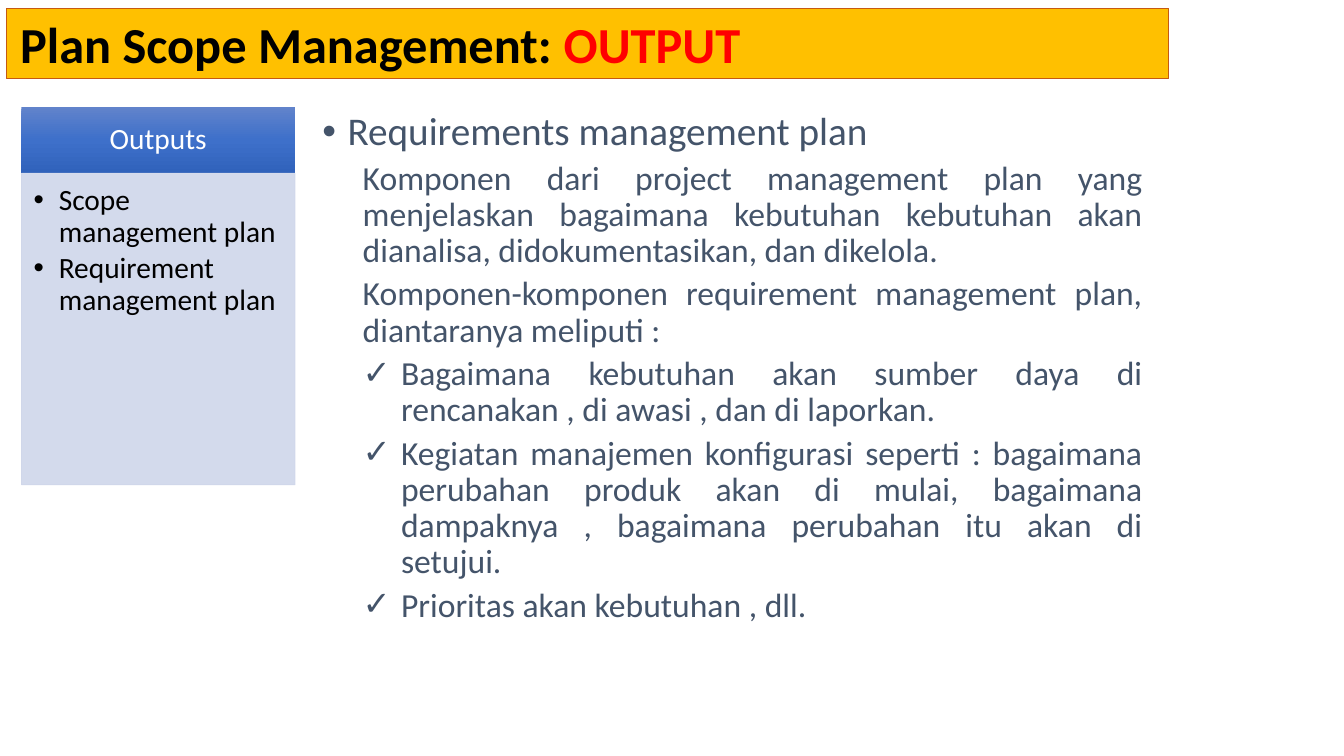
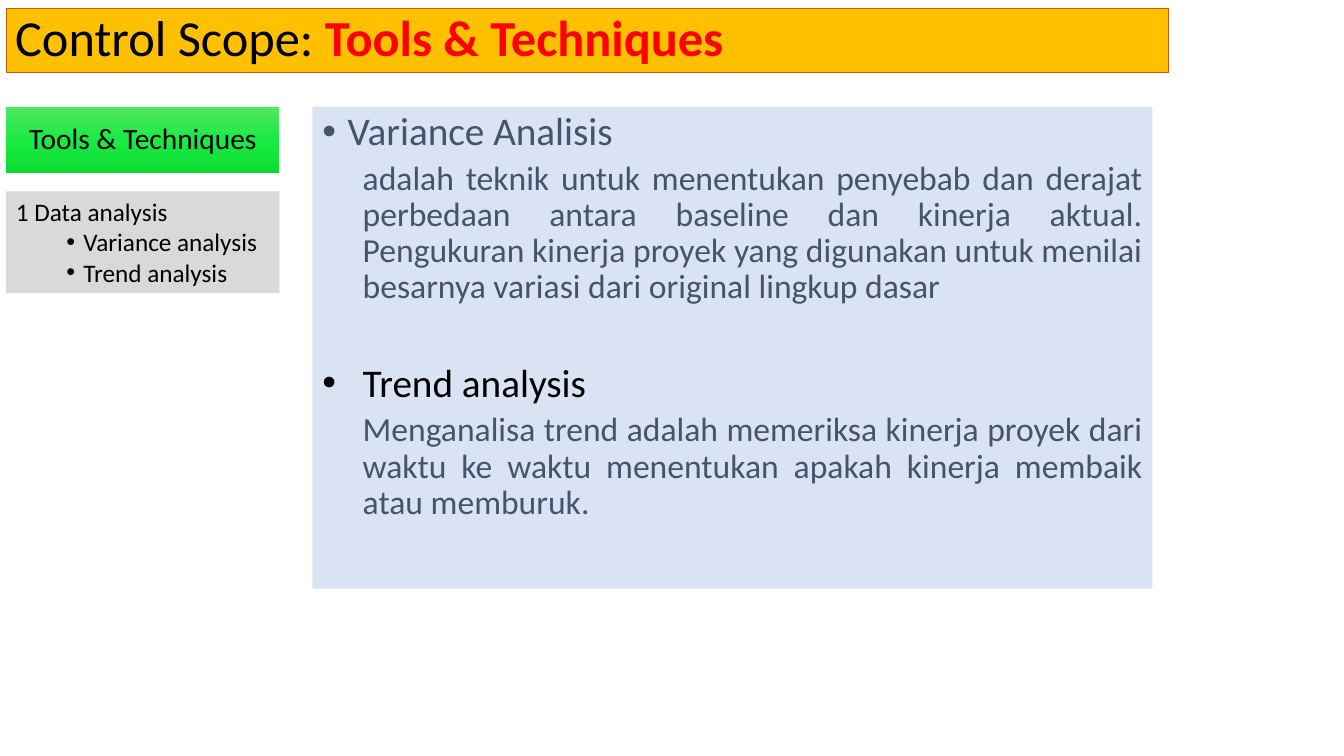
from copy import deepcopy
from dataclasses import dataclass

from lxml.etree import SubElement
from pptx import Presentation
from pptx.dml.color import RGBColor
from pptx.enum.shapes import MSO_SHAPE
from pptx.enum.text import MSO_ANCHOR, MSO_AUTO_SIZE, PP_ALIGN
from pptx.oxml.ns import qn
from pptx.util import Inches, Pt

BLACK = RGBColor(0, 0, 0)
WHITE = RGBColor(255, 255, 255)
RED = RGBColor(255, 0, 0)
SLATE = RGBColor(0x44, 0x54, 0x6A)
GOLD = RGBColor(0xFF, 0xC0, 0x00)
RUST = RGBColor(0xC5, 0x5A, 0x11)
GREY = RGBColor(0xD9, 0xD9, 0xD9)
MIST = RGBColor(0xCF, 0xD6, 0xEA)
PALE = RGBColor(0xDA, 0xE3, 0xF3)
BLUES = [RGBColor(0x61, 0x83, 0xCB), RGBColor(0x3E, 0x70, 0xCA), RGBColor(0x30, 0x62, 0xBB)]
GREENS = [RGBColor(0x51, 0xE6, 0x63), RGBColor(0x19, 0xEB, 0x42), RGBColor(0x0C, 0xDB, 0x34)]

# Lengths are percent of the slide's width and height
EDGE, SIDE = 0.45, 20.35
TOP, HEAD = 14.13, 8.8
MAIN, WIDE = 23.25, 62.5


@dataclass
class Para:
    """Paragraph style; indents in inches, spaces in points."""
    size: float
    color: RGBColor = BLACK
    left: float = 0
    hang: float = 0
    mark: str = ""
    before: float = 0
    after: float = 0
    lead: float = 0.9
    align: PP_ALIGN = PP_ALIGN.LEFT


JUST = PP_ALIGN.JUSTIFY
TOPIC = Para(28, SLATE, 0.25, -0.25, "•", 10, align=JUST)
NEXT = Para(28, BLACK, 0.4, -0.4, "•", 41, align=JUST)
PROSE = Para(24, SLATE, 0.4, before=5, align=JUST)
CHECK = Para(24, SLATE, 0.78, -0.38, "✓", 5, align=JUST)
ITEM = Para(21, BLACK, 0.25, -0.25, "•", after=3)
NOTE = Para(18, lead=1)
POINT = Para(18, BLACK, 0.67, -0.17, "•", lead=1)


class Deck:
    font = "Calibri"

    def __init__(self):
        self.prs = Presentation()
        self.prs.slide_width, self.prs.slide_height = Inches(13.33), Inches(7.5)
        self.slide = None

    def box(self, x, y, w, h):
        wide, high = self.prs.slide_width, self.prs.slide_height
        return [int(v * full / 100) for v, full in zip((x, y, w, h), (wide, high) * 2)]

    def frame(self, shape, inset, anchor=MSO_ANCHOR.TOP):
        text = shape.text_frame
        text.word_wrap, text.auto_size = True, MSO_AUTO_SIZE.NONE
        text.vertical_anchor = anchor
        (text.margin_left, text.margin_top,
         text.margin_right, text.margin_bottom) = [Inches(v) for v in inset]
        return text

    def ink(self, run, size, color, bold=False):
        run.font.name, run.font.size = self.font, Pt(size)
        run.font.bold, run.font.color.rgb = bold, color

    def fill_text(self, text, rows):
        text.text = "\n".join(words for _, words in rows)
        for i, (para, (style, _)) in enumerate(zip(text.paragraphs, rows)):
            props = para._p.get_or_add_pPr()
            props.set("marL", str(Inches(style.left)))
            props.set("indent", str(Inches(style.hang)))
            if style.mark:
                SubElement(props, qn("a:buFont"), typeface="Arial")
                SubElement(props, qn("a:buChar"), char=style.mark)
            else:
                SubElement(props, qn("a:buNone"))
            para.alignment, para.line_spacing = style.align, style.lead
            para.space_before = Pt(style.before if i else 0)
            para.space_after = Pt(style.after)
            for run in para.runs:
                self.ink(run, style.size, style.color)

    def title(self, lead, key, high, inset, bold, space):
        """New slide with its gold title band."""
        self.slide = self.prs.slides.add_slide(self.prs.slide_layouts[5])
        band = self.slide.shapes.title
        band.left, band.top, band.width, band.height = self.box(EDGE, 1.07, 86.5, high)
        band.fill.solid()
        band.fill.fore_color.rgb = GOLD
        band.line.color.rgb, band.line.width = RUST, Pt(0.75)
        para = self.frame(band, (inset, 0.05, 0.09, 0.05)).paragraphs[0]
        para.alignment, para.line_spacing = PP_ALIGN.LEFT, space
        for words, color, heavy in ((lead, BLACK, bold), (key, RED, True)):
            run = para.add_run()
            run.text = words
            self.ink(run, 36, color, heavy)

    def block(self, x, y, w, h):
        shape = self.slide.shapes.add_shape(MSO_SHAPE.RECTANGLE, *self.box(x, y, w, h))
        shape.shadow.inherit = False
        shape.line.fill.background()
        return shape

    def label(self, x, words, tones, color):
        """Heading block with a vertical three-tone gradient."""
        shape = self.block(x, TOP, SIDE, HEAD)
        shape.fill.gradient()
        shape.fill.gradient_angle = 270
        stops = shape._element.spPr.find(".//" + qn("a:gsLst"))
        stops.insert(1, deepcopy(stops[0]))
        for i, (stop, tone) in enumerate(zip(shape.fill.gradient_stops, tones)):
            stop.position, stop.color.rgb = i / 2, tone
        text = self.frame(shape, (0.16, 0.09, 0.16, 0.09), MSO_ANCHOR.MIDDLE)
        self.fill_text(text, [(Para(21, color, align=PP_ALIGN.CENTER), words)])

    def panel(self, area, fill, rows, inset=(0.1, 0.05, 0.1, 0.05), alpha=None):
        """Filled block of paragraphs."""
        shape = self.block(*area)
        shape.fill.solid()
        shape.fill.fore_color.rgb = fill
        if alpha:
            shape.line.color.rgb, shape.line.width = fill, Pt(0.5)
            for tone in shape._element.spPr.iter(qn("a:srgbClr")):
                SubElement(tone, qn("a:alpha"), val=str(alpha * 1000))
        self.fill_text(self.frame(shape, inset), rows)

    def body(self, high, rows):
        """Plain text area in the main column."""
        area = self.slide.shapes.add_textbox(*self.box(MAIN, TOP, WIDE, high))
        self.fill_text(self.frame(area, (0.1, 0.05, 0.1, 0.05)), rows)


def main():
    deck = Deck()

    # Slide 1: outputs of scope planning
    deck.title("Plan Scope Management: ", "OUTPUT", 9.33, 0.14, True, 1)
    deck.label(1.6, "Outputs", BLUES, WHITE)
    deck.panel((1.6, TOP + HEAD, SIDE, 41.2), MIST, [
        (ITEM, "Scope management plan"),
        (ITEM, "Requirement management plan"),
    ], (0.12, 0.12, 0.16, 0.18), 90)
    deck.body(70, [
        (TOPIC, "Requirements management plan"),
        (PROSE, "Komponen dari project management plan yang menjelaskan bagaimana "
                "kebutuhan kebutuhan akan dianalisa, didokumentasikan, dan dikelola."),
        (PROSE, "Komponen-komponen requirement management plan, diantaranya meliputi :"),
        (CHECK, "Bagaimana kebutuhan akan sumber daya di rencanakan , di awasi , "
                "dan di laporkan."),
        (CHECK, "Kegiatan manajemen konfigurasi seperti : bagaimana perubahan produk "
                "akan di mulai, bagaimana dampaknya , bagaimana perubahan itu akan "
                "di setujui."),
        (CHECK, "Prioritas akan kebutuhan , dll."),
    ])

    # Slide 2: tools for scope control
    deck.title("Control Scope: ", "Tools & Techniques", 8.53, 0.09, False, 0.9)
    deck.label(EDGE, "Tools & Techniques", GREENS, BLACK)
    deck.panel((MAIN, TOP, WIDE, 63.73), PALE, [
        (TOPIC, "Variance Analisis"),
        (PROSE, "adalah teknik untuk menentukan penyebab dan derajat perbedaan antara "
                "baseline dan kinerja aktual. Pengukuran kinerja proyek yang digunakan "
                "untuk menilai besarnya variasi dari original lingkup dasar"),
        (NEXT, "Trend analysis"),
        (PROSE, "Menganalisa trend adalah memeriksa kinerja proyek dari waktu ke waktu "
                "menentukan apakah kinerja membaik atau memburuk."),
    ])
    deck.panel((EDGE, 25.33, SIDE, 13.47), GREY, [
        (NOTE, "1 Data analysis"),
        (POINT, "Variance analysis"),
        (POINT, "Trend analysis"),
    ])

    deck.prs.save("out.pptx")


if __name__ == "__main__":
    main()
